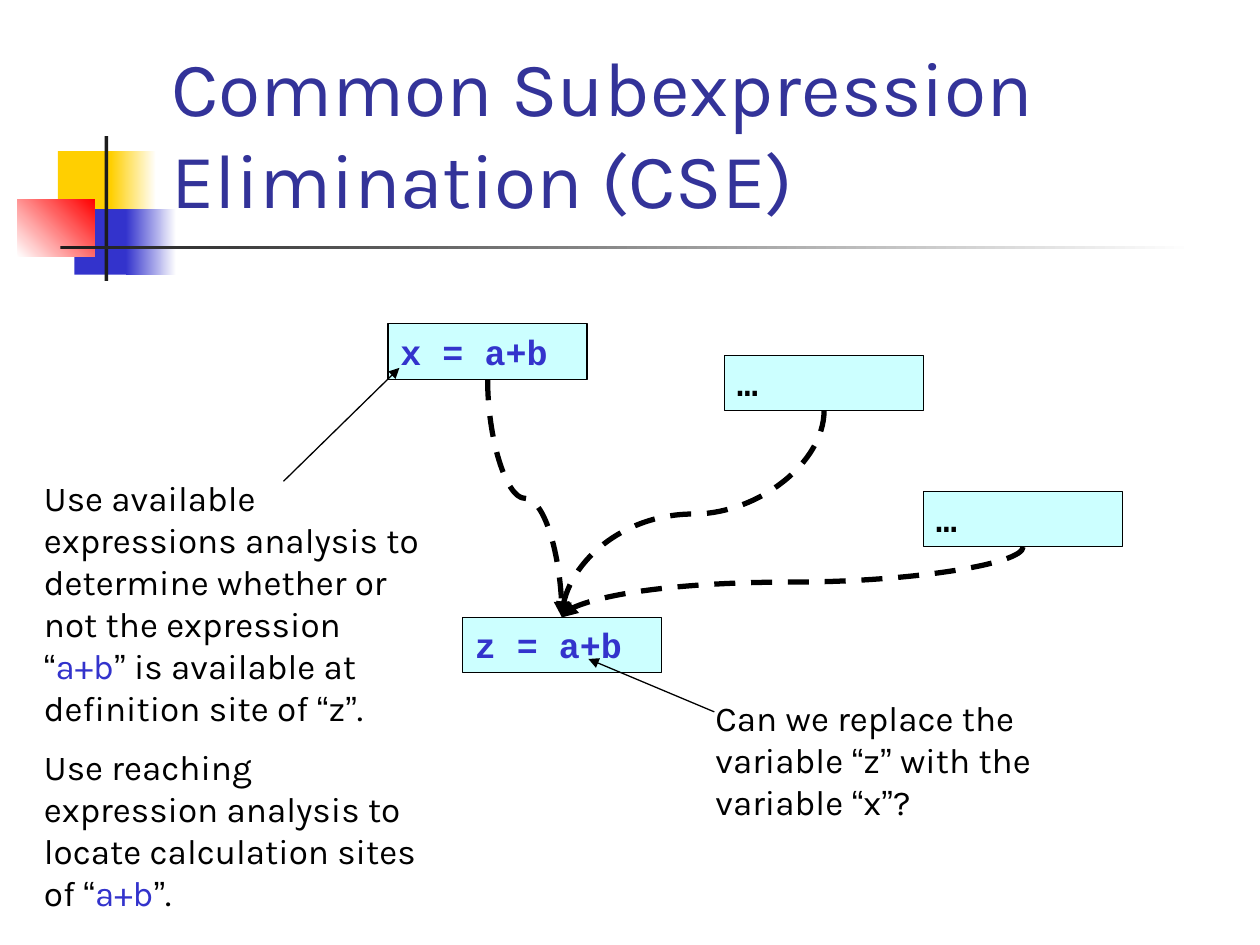
from dataclasses import dataclass

from pptx import Presentation
from pptx import util as u
from pptx.dml.color import RGBColor
from pptx.enum import dml, shapes, text
from pptx.oxml.ns import qn
from lxml import etree

Inches = u.Inches


@dataclass(frozen=True)
class Theme:
    title: str = "333399"
    ink: str = "000000"
    accent: str = "3333CC"
    node: str = "CCFFFF"
    yellow: str = "FFCF01"
    red: str = "FF0000"
    bar: str = "1C1C1C"
    paper: str = "FFFFFF"
    title_size: int = 44
    body_size: int = 20
    gap: int = 10
    body_font: str = "Karla"
    quote_font: str = "Arial"
    code_font: str = "Courier New"


theme = Theme()


def add_run(paragraph, words, font, color, size=theme.body_size, bold=False):
    run = paragraph.add_run()
    run.text = words
    run.font.name = font
    run.font.size = u.Pt(size)
    run.font.bold = bold
    run.font.color.rgb = RGBColor.from_string(color)


def style_arrow(connector, width, dash=None):
    connector.line.color.rgb = RGBColor.from_string(theme.ink)
    connector.line.width = u.Pt(width)
    if dash:
        connector.line.dash_style = dash
    properties = connector._element.spPr
    etree.SubElement(properties.find(qn("a:ln")), qn("a:tailEnd"), type="triangle")
    etree.SubElement(properties, qn("a:effectLst"))


prs = Presentation()
prs.slide_width, prs.slide_height = Inches(10), Inches(7.5)
slide = prs.slides.add_slide(prs.slide_layouts[5])

# Corner ornament: place, colours (two make a gradient), counter-clockwise angle
ornament = [
    ((0.46, 1.2, 0.48, 0.52), [theme.yellow], 0),
    ((0.88, 1.2, 0.36, 0.52), [theme.yellow, theme.paper], 0),
    ((0.59, 1.66, 0.46, 0.52), [theme.accent], 0),
    ((1, 1.66, 0.4, 0.52), [theme.accent, theme.paper], 0),
    ((0.14, 1.58, 0.61, 0.46), [theme.paper, theme.red], 45),
    ((0.83, 1.08, 0.03, 1.15), [theme.bar], 0),
    ((0.48, 1.95, 9, 0.03), [theme.bar, theme.paper], 0),
]
for place, colors, angle in ornament:
    block = slide.shapes.add_shape(shapes.MSO_SHAPE.RECTANGLE, *map(Inches, place))
    block.shadow.inherit = False
    block.line.fill.background()
    if len(colors) == 1:
        block.fill.solid()
        block.fill.fore_color.rgb = RGBColor.from_string(colors[0])
    else:
        block.fill.gradient()
        block.fill.gradient_angle = angle
        for stop, color in zip(block.fill.gradient_stops, colors):
            stop.color.rgb = RGBColor.from_string(color)

# Title, in front of the ornament
title = slide.shapes.title
slide.shapes._spTree.append(title._element)
title.left, title.top = Inches(1.26), Inches(0.23)
title.width, title.height = Inches(8.52), Inches(1.6)
title.text_frame.auto_size = text.MSO_AUTO_SIZE.NONE
title.text_frame.vertical_anchor = text.MSO_ANCHOR.BOTTOM
heading = title.text_frame.paragraphs[0]
heading.alignment = text.PP_ALIGN.LEFT
add_run(heading, "Common Subexpression Elimination (CSE)",
        theme.body_font, theme.title, theme.title_size)

# Statements of the flow graph; the first one is where the paths meet
statements = []
for left, top, code, color in [
    (3.67, 4.9, "z = a+b", theme.accent),
    (3.08, 2.57, "x = a+b", theme.accent),
    (5.75, 2.82, "…", theme.ink),
    (7.33, 3.9, "…", theme.ink),
]:
    node = slide.shapes.add_shape(shapes.MSO_SHAPE.RECTANGLE, Inches(left), Inches(top),
                                  Inches(1.58), Inches(0.44))
    node.shadow.inherit = False
    node.fill.solid()
    node.fill.fore_color.rgb = RGBColor.from_string(theme.node)
    node.line.color.rgb = RGBColor.from_string(theme.ink)
    node.line.width = u.Pt(0.75)
    frame = node.text_frame
    frame.vertical_anchor = text.MSO_ANCHOR.TOP
    frame.auto_size = text.MSO_AUTO_SIZE.SHAPE_TO_FIT_TEXT
    line = frame.paragraphs[0]
    line.alignment = text.PP_ALIGN.LEFT
    line.space_before = u.Pt(theme.gap)
    add_run(line, code, theme.code_font, color, bold=True)
    statements.append(node)

# Control flow: curves that leave downwards, so each frame is turned a quarter
merge, *sources = statements
for source in sources:
    flow = slide.shapes.add_connector(shapes.MSO_CONNECTOR.CURVE, 0, 0, 0, 0)
    flow.begin_connect(source, 2)
    flow.end_connect(merge, 0)
    start_x, start_y = source.left + source.width // 2, source.top + source.height
    end_x, end_y = merge.left + merge.width // 2, merge.top
    drop, shift = end_y - start_y, abs(end_x - start_x)
    flow.left = (start_x + end_x - drop) // 2
    flow.top = (start_y + end_y - shift) // 2
    flow.width, flow.height = drop, shift
    frame_xml = flow._element.spPr.find(qn("a:xfrm"))
    rightwards = end_x > start_x
    frame_xml.set("rot", str((270 if rightwards else 90) * 60000))
    frame_xml.set("flipH", "1" if rightwards else "0")
    frame_xml.set("flipV", "0")
    style_arrow(flow, 3, dml.MSO_LINE.DASH)

# Remarks: in each paragraph every second piece stands in quotation marks
remarks = [
    ((0.25, 3.73, 3.25, 3.27), [
        ["Use available expressions analysis to determine whether or not the expression ",
         "a+b", " is available at definition site of ", "z", "."],
        ["Use reaching expression analysis to locate calculation sites of ", "a+b", "."],
    ]),
    ((5.58, 5.48, 3.25, 1.1), [
        ["Can we replace the variable ", "z", " with the variable ", "x", "?"],
    ]),
]
for place, paragraphs in remarks:
    frame = slide.shapes.add_textbox(*map(Inches, place)).text_frame
    frame.word_wrap = True
    frame.auto_size = text.MSO_AUTO_SIZE.SHAPE_TO_FIT_TEXT
    for number, pieces in enumerate(paragraphs):
        paragraph = frame.add_paragraph() if number else frame.paragraphs[0]
        paragraph.space_before = u.Pt(theme.gap)
        for index, piece in enumerate(pieces):
            quoted = index % 2 == 1
            color = theme.accent if piece == "a+b" else theme.ink
            if quoted:
                add_run(paragraph, "“", theme.quote_font, theme.ink)
            add_run(paragraph, piece, theme.body_font, color)
            if quoted:
                add_run(paragraph, "”", theme.quote_font, theme.ink)

# Pointers from the remarks to the statements
for ends in [(2.25, 3.82, 3.17, 2.92), (5.67, 5.65, 4.67, 5.23)]:
    pointer = slide.shapes.add_connector(shapes.MSO_CONNECTOR.STRAIGHT, *map(Inches, ends))
    style_arrow(pointer, 0.75)

prs.save("out.pptx")
